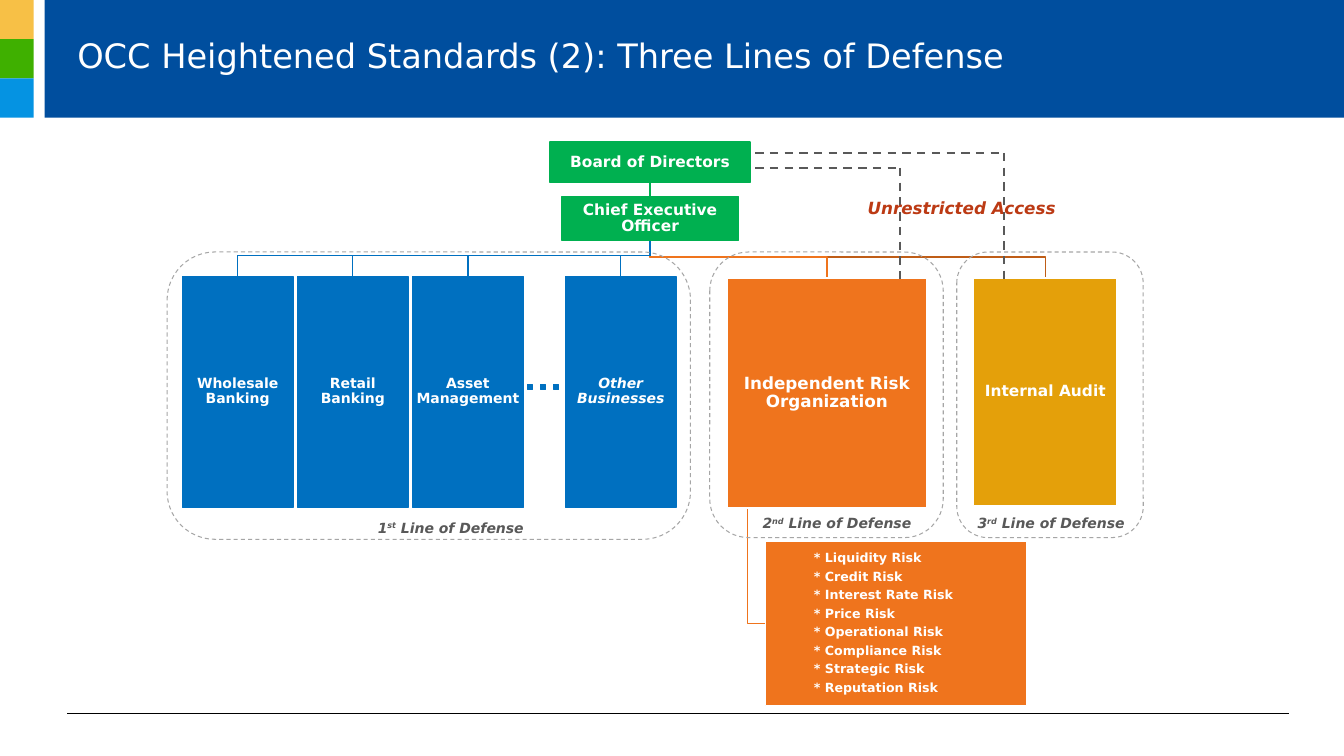
from dataclasses import dataclass
from typing import Optional

from lxml.etree import SubElement
from pptx import Presentation
from pptx.dml.color import RGBColor
from pptx.enum.dml import MSO_LINE as Dash
from pptx.enum.shapes import MSO_CONNECTOR as Link, MSO_SHAPE as Kind
from pptx.enum.text import MSO_ANCHOR as Anchor, MSO_AUTO_SIZE as Fit, PP_ALIGN as Align
from pptx.oxml.ns import qn
from pptx.util import Emu, Pt

COLS, ROWS, CELL = 160, 90, 76200
FONT = "DejaVu Sans"
WHITE = RGBColor(0xFF, 0xFF, 0xFF)
BLACK = RGBColor(0x00, 0x00, 0x00)
NAVY = RGBColor(0x00, 0x4E, 0x9E)
YELLOW = RGBColor(0xF7, 0xC0, 0x46)
LEAF = RGBColor(0x3F, 0xB0, 0x00)
SKY = RGBColor(0x05, 0x93, 0xE2)
GREEN = RGBColor(0x00, 0xB0, 0x50)
BLUE = RGBColor(0x00, 0x70, 0xC0)
ORANGE = RGBColor(0xEF, 0x74, 0x1D)
BROWN = RGBColor(0xBF, 0x5D, 0x17)
GOLD = RGBColor(0xE4, 0xA0, 0x0A)
RED = RGBColor(0xBC, 0x3A, 0x14)
GREY = RGBColor(0x59, 0x59, 0x59)
SILVER = RGBColor(0xA6, 0xA6, 0xA6)


@dataclass(frozen=True)
class Area:
    x: float
    y: float
    w: float
    h: float

    @property
    def mid(self) -> float:
        return self.x + self.w / 2


@dataclass(frozen=True)
class Box:
    text: str
    area: Area
    fill: RGBColor
    edge: RGBColor
    size: int
    slant: bool = False


@dataclass(frozen=True)
class Zone:
    area: Area
    num: str
    end: str
    x: float
    y: float


BOARD = Box("Board of Directors", Area(65.5, 16.9, 23.8, 4.8), GREEN, GREEN, 11)
CHIEF = Box("Chief Executive Officer", Area(66.9, 23.4, 21, 5.2), GREEN, GREEN, 11)
UNITS = [
    Box(text, Area(x, 32.9, 13.2, 27.5), BLUE, BLUE, 10, text == "Other Businesses")
    for text, x in [
        ("Wholesale Banking", 21.7),
        ("Retail Banking", 35.4),
        ("Asset Management", 49.1),
        ("Other Businesses", 67.3),
    ]
]
RISK = Box("Independent Risk Organization", Area(86.6, 33.1, 23.7, 27.4), ORANGE, WHITE, 12)
AUDIT = Box("Internal Audit", Area(115.9, 33.1, 17.1, 27.1), GOLD, WHITE, 11)
KINDS = ["Liquidity", "Credit", "Interest Rate", "Price",
         "Operational", "Compliance", "Strategic", "Reputation"]
LIST = Box("\n".join(f"* {kind} Risk" for kind in KINDS),
           Area(91.1, 64.4, 31.1, 19.6), ORANGE, WHITE, 9)
ZONES = [
    Zone(Area(19.9, 30, 62.3, 34.2), "1", "st", 43.8, 61.2),
    Zone(Area(84.5, 30, 27.8, 34), "2", "nd", 89.6, 60.7),
    Zone(Area(113.9, 30, 22.2, 34), "3", "rd", 115.2, 60.7),
]

deck = Presentation()
deck.slide_width, deck.slide_height = Emu(COLS * CELL), Emu(ROWS * CELL)
slide = deck.slides.add_slide(deck.slide_layouts[5])
shapes = slide.shapes


def grid(n: float) -> Emu:
    return Emu(round(n * CELL))


def place(area: Area) -> tuple:
    return grid(area.x), grid(area.y), grid(area.w), grid(area.h)


def paint(shape, fill: Optional[RGBColor], edge: Optional[RGBColor], width: float = 1) -> None:
    shape.shadow.inherit = False
    if fill is None:
        shape.fill.background()
    else:
        shape.fill.solid()
        shape.fill.fore_color.rgb = fill
    if edge is None:
        shape.line.fill.background()
    else:
        shape.line.color.rgb = edge
        shape.line.width = Pt(width)


def style(para, size: int, color: RGBColor, bold: bool = True, slant: bool = False) -> None:
    font = para.font
    font.name, font.size = FONT, Pt(size)
    font.bold, font.italic = bold, slant
    font.color.rgb = color


def rect(area: Area, fill: RGBColor, edge: Optional[RGBColor] = None, width: float = 1):
    shape = shapes.add_shape(Kind.RECTANGLE, *place(area))
    paint(shape, fill, edge, width)
    return shape


def block(box: Box, align: Align = Align.CENTER, inset: float = 0.12, gap: float = 0):
    shape = rect(box.area, box.fill, box.edge)
    frame = shape.text_frame
    frame.word_wrap = True
    frame.vertical_anchor = Anchor.MIDDLE
    frame.margin_left = grid(inset)
    frame.margin_right = frame.margin_top = frame.margin_bottom = grid(0.12)
    frame.text = box.text
    for para in frame.paragraphs:
        para.alignment, para.line_spacing = align, 0.9
        para.space_after = Pt(gap)
        style(para, box.size, WHITE, slant=box.slant)
    return shape


def route(points: list, color: RGBColor) -> None:
    first, *rest = [(grid(x), grid(y)) for x, y in points]
    path = shapes.build_freeform(*first)
    path.add_line_segments(rest, close=False)
    paint(path.convert_to_shape(), None, color)


def line(x1: float, y1: float, x2: float, y2: float, color: RGBColor,
         width: float, dash: Optional[Dash] = None):
    wire = shapes.add_connector(Link.STRAIGHT, grid(x1), grid(y1), grid(x2), grid(y2))
    wire.line.color.rgb, wire.line.width = color, Pt(width)
    if dash is not None:
        wire.line.dash_style = dash
    SubElement(wire.element.spPr, qn("a:effectLst"))
    return wire


def label(x: float, y: float, h: float, parts: list, size: int, color: RGBColor) -> None:
    note = shapes.add_textbox(*place(Area(x, y, 25, h)))
    frame = note.text_frame
    frame.word_wrap, frame.auto_size = True, Fit.SHAPE_TO_FIT_TEXT
    para = frame.paragraphs[0]
    style(para, size, color, slant=True)
    for i, text in enumerate(parts):
        run = para.add_run()
        run.text = text
        if i == 1:
            run.font._element.set("baseline", "30000")


def head() -> None:
    rect(Area(5.3, 0, COLS - 5.3, 14), NAVY)
    line(8, 85, 153.4, 85, BLACK, 0.75)
    for i, color in enumerate([YELLOW, LEAF, SKY]):
        rect(Area(0, i * 14 / 3, 4, 14 / 3), color)
    title = shapes.title
    title.left, title.top, title.width, title.height = place(Area(8, 1, 136, 11))
    frame = title.text_frame
    frame.text = "OCC Heightened Standards (2): Three Lines of Defense"
    frame.vertical_anchor = Anchor.MIDDLE
    para = frame.paragraphs[0]
    para.alignment = Align.LEFT
    style(para, 24, WHITE, bold=False)
    shapes.element.append(title.element)


def chart() -> None:
    stem, foot = CHIEF.area.mid, CHIEF.area.y + CHIEF.area.h
    drops = [(AUDIT, 30.6, BROWN), (RISK, 30.6, ORANGE)]
    drops += [(unit, 30.4, BLUE) for unit in reversed(UNITS)]
    for box, bend, color in drops:
        goal = box.area
        route([(stem, foot), (stem, bend), (goal.mid, bend), (goal.mid, goal.y)], color)
    route([(89, 60.5), (89, 74.2), (LIST.area.x, 74.2)], ORANGE)
    board, chief = block(BOARD), block(CHIEF)
    for box in [*UNITS, RISK, AUDIT]:
        block(box)
    block(LIST, Align.LEFT, 5.8, 3.5)
    for x, y in [(119.5, 18.2), (107.1, 20)]:
        line(89.9, y, x, y, GREY, 1.5, Dash.DASH)
        line(x, y, x, 33.5, GREY, 1.5, Dash.DASH)
    wire = line(stem, 21.7, stem, 23.4, GREEN, 1.5)
    wire.begin_connect(board, 2)
    wire.end_connect(chief, 0)


def notes() -> None:
    label(102.1, 23, 3.6, ["Unrestricted Access"], 12, RED)
    for zone in ZONES:
        ring = shapes.add_shape(Kind.ROUNDED_RECTANGLE, *place(zone.area))
        paint(ring, None, SILVER, 0.75)
        ring.line.dash_style = Dash.DASH
        label(zone.x, zone.y, 3.2, [zone.num, zone.end, " Line of Defense"], 10, GREY)
    for i in range(3):
        rect(Area(62.8 + i * 1.57, 45.8, 0.6, 0.6), BLUE, BLUE, 0.75)


if __name__ == "__main__":
    head()
    chart()
    notes()
    deck.save("out.pptx")
